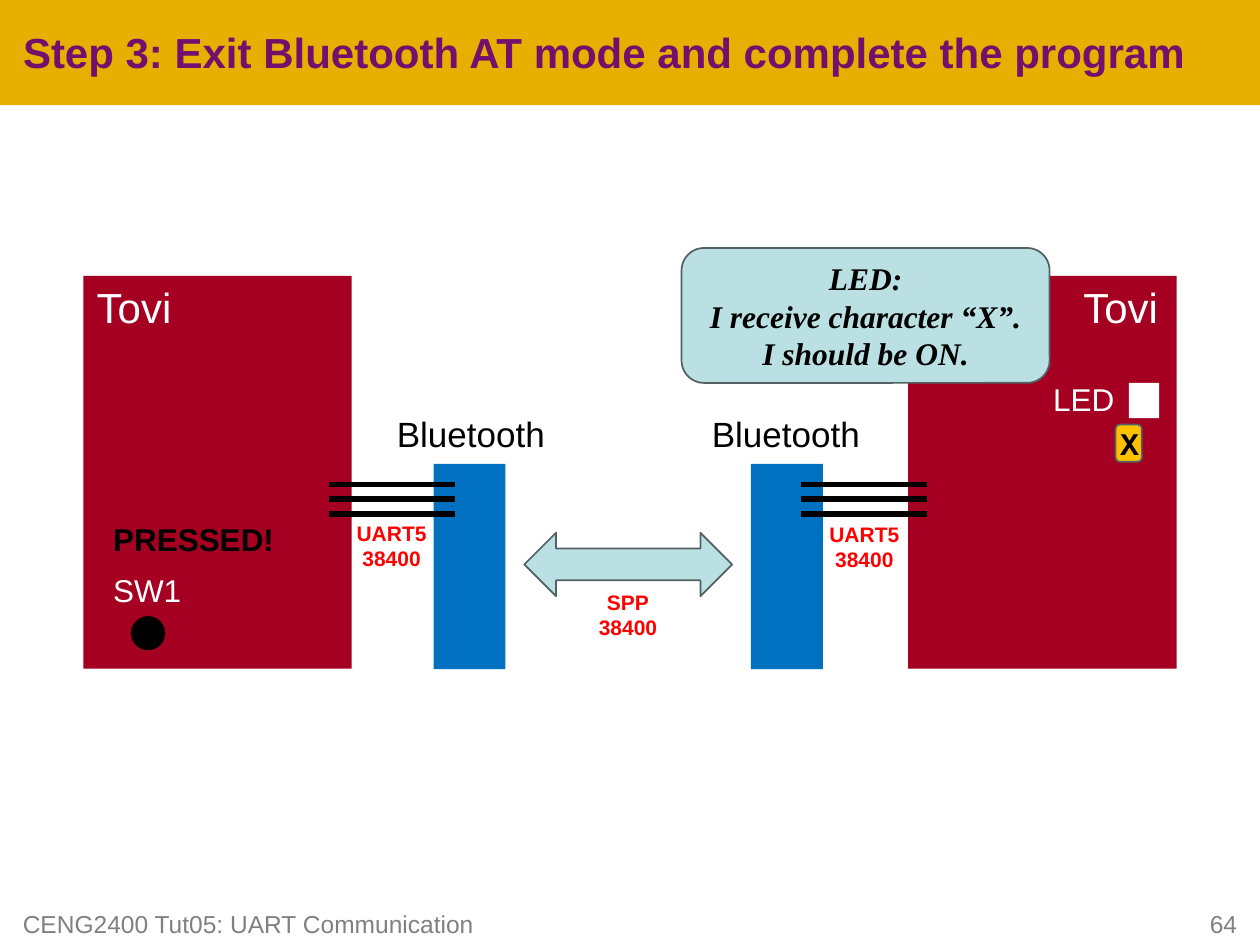
from lxml import etree
from pptx import Presentation
from pptx.dml.color import RGBColor
from pptx.enum import shapes, text
from pptx.oxml.ns import qn
from pptx.util import Cm, Pt

GOLD = RGBColor(0xE7, 0xAF, 0x00)
PURPLE = RGBColor(0x75, 0x0F, 0x6D)
GREY = RGBColor(0x80, 0x80, 0x80)
CRIMSON = RGBColor(0xA5, 0x00, 0x21)
BLUE = RGBColor(0x00, 0x70, 0xC0)
PALE = RGBColor(0xBB, 0xE0, 0xE3)
SLATE = RGBColor(0x52, 0x62, 0x63)
AMBER = RGBColor(0xFF, 0xC0, 0x00)
RED = RGBColor(0xFF, 0x00, 0x00)
BLACK = RGBColor(0x00, 0x00, 0x00)
WHITE = RGBColor(0xFF, 0xFF, 0xFF)

SHAPE = shapes.MSO_SHAPE
LEFT, CENTER, RIGHT = text.PP_ALIGN.LEFT, text.PP_ALIGN.CENTER, text.PP_ALIGN.RIGHT

prs = Presentation()
prs.slide_width, prs.slide_height = Cm(25.4), Cm(19.05)
slide = prs.slides.add_slide(prs.slide_layouts[5])


def block(kind, x, y, w, h, fill, line=None):
    shape = slide.shapes.add_shape(kind, Cm(x), Cm(y), Cm(w), Cm(h))
    shape.shadow.inherit = False
    shape.fill.solid()
    shape.fill.fore_color.rgb = fill
    if line is None:
        shape.line.fill.background()
    else:
        shape.line.color.rgb = line
        shape.line.width = Pt(1)
    return shape


def write(shape, words, size, color, align=LEFT, bold=False, font="Arial",
          wrap=False, anchor=text.MSO_ANCHOR.TOP):
    frame = shape.text_frame
    frame.text = words
    frame.word_wrap = wrap
    frame.auto_size = text.MSO_AUTO_SIZE.NONE
    frame.vertical_anchor = anchor
    for paragraph in frame.paragraphs:
        paragraph.alignment = align
        paragraph.font.name = font
        paragraph.font.size = Pt(size)
        paragraph.font.bold = bold
        paragraph.font.color.rgb = color


# Title on its gold band, which goes behind the placeholder
band = block(SHAPE.RECTANGLE, 0, 0, 25.4, 2.12, GOLD)
title = slide.shapes.title
title._element.addprevious(band._element)
title.left, title.top, title.width, title.height = Cm(0.21), Cm(0.1), Cm(24.97), Cm(1.9)
write(title, "Step 3: Exit Bluetooth AT mode and complete the program", 24, PURPLE,
      bold=True, wrap=True, anchor=text.MSO_ANCHOR.MIDDLE)

# Footer and page number
for words, x, w, align in (("CENG2400 Tut05: UART Communication", 0.21, 23.7, LEFT),
                           ("64", 23.92, 1.27, RIGHT)):
    footer = slide.shapes.add_textbox(Cm(x), Cm(18.21), Cm(w), Cm(0.84))
    write(footer, words, 14, GREY, align, wrap=True, anchor=text.MSO_ANCHOR.MIDDLE)

# Two boards, each wired to its Bluetooth module
for board_x, module_x, wire_x in ((1.68, 8.74, 6.63), (18.31, 15.14, 16.14)):
    block(SHAPE.RECTANGLE, board_x, 5.56, 5.41, 7.92, CRIMSON)
    block(SHAPE.RECTANGLE, module_x, 9.35, 1.45, 4.14, BLUE)
    for row in range(3):
        y = Cm(9.76 + 0.3 * row)
        wire = slide.shapes.add_connector(shapes.MSO_CONNECTOR.STRAIGHT,
                                          Cm(wire_x), y, Cm(wire_x + 2.54), y)
        wire.line.color.rgb = BLACK
        wire.line.width = Pt(3)
        etree.SubElement(wire._element.spPr, qn("a:effectLst"))

# Switch, LED, serial link and the character received
block(SHAPE.OVAL, 2.64, 12.42, 0.69, 0.69, BLACK)
block(SHAPE.RECTANGLE, 22.76, 7.72, 0.61, 0.71, WHITE)
block(SHAPE.LEFT_RIGHT_ARROW, 10.57, 10.74, 4.19, 1.28, PALE, SLATE)
block(SHAPE.ROUNDED_RECTANGLE, 22.49, 8.56, 0.53, 0.75, AMBER, SLATE)

# Labels
for words, x, y, w, h, size, color, align, bold, font in (
    ("Tovi", 1.7, 5.56, 2.11, 1.27, 24, WHITE, LEFT, False, "Arial"),
    ("Tovi", 21.59, 5.56, 2.11, 1.27, 24, WHITE, LEFT, False, "Arial"),
    ("Bluetooth", 7.75, 8.2, 3.53, 1.12, 20, BLACK, LEFT, False, "Arial"),
    ("Bluetooth", 14.1, 8.2, 3.53, 1.12, 20, BLACK, LEFT, False, "Arial"),
    ("SW1", 2.03, 11.38, 1.91, 1.02, 18, WHITE, LEFT, False, "Arial"),
    ("LED", 20.98, 7.54, 1.75, 1.02, 18, WHITE, LEFT, False, "Arial"),
    ("PRESSED!", 2.03, 10.36, 3.76, 1.02, 18, BLACK, LEFT, True, "Arial"),
    ("SPP\n38400", 11.81, 11.76, 1.7, 1.27, 12, RED, CENTER, True, "Arial"),
    ("UART5\n38400", 6.93, 10.36, 1.93, 1.27, 12, RED, CENTER, True, "Arial"),
    ("UART5\n38400", 16.46, 10.39, 1.93, 1.27, 12, RED, CENTER, True, "Arial"),
    ("X", 22.3, 8.43, 0.94, 1.02, 18, BLACK, CENTER, True, "Courier New"),
):
    label = slide.shapes.add_textbox(Cm(x), Cm(y), Cm(w), Cm(h))
    write(label, words, size, color, align, bold, font)

# Speech of the LED
speech = block(SHAPE.ROUNDED_RECTANGLE, 13.74, 5, 7.42, 2.72, PALE, SLATE)
write(speech, "LED:\nI receive character “X”. I should be ON.", 18, BLACK, CENTER, True,
      "Times New Roman", wrap=True, anchor=text.MSO_ANCHOR.MIDDLE)
for paragraph in speech.text_frame.paragraphs:
    paragraph.font.italic = True

prs.save("out.pptx")
